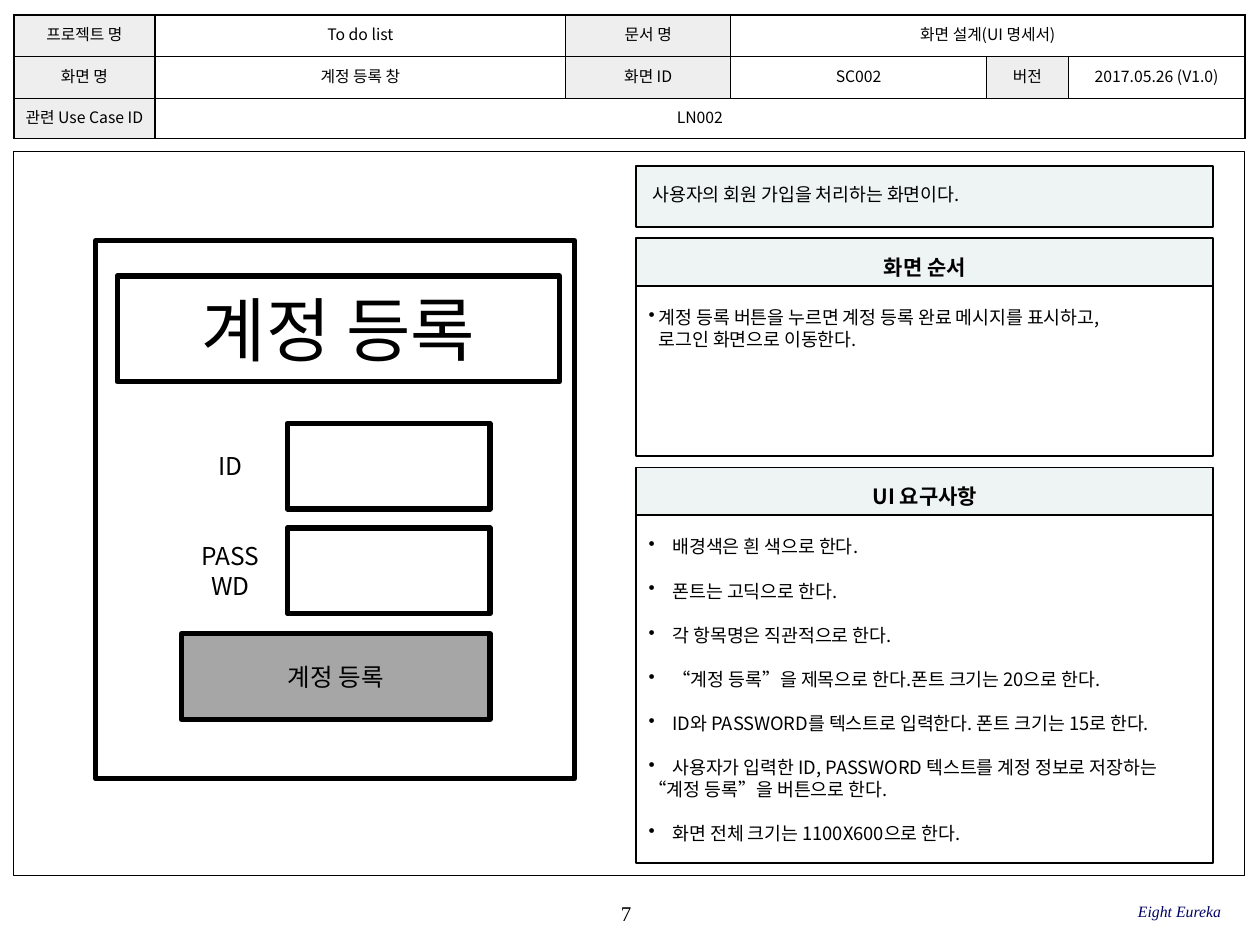
from dataclasses import dataclass

from lxml import etree
from pptx import Presentation
from pptx.dml.color import RGBColor
from pptx.enum import shapes, text
from pptx.oxml.ns import qn
from pptx.util import Emu, Pt

PX = 9144  # one px is a hundredth of an inch
LEFT, CENTER, RIGHT = text.PP_ALIGN.LEFT, text.PP_ALIGN.CENTER, text.PP_ALIGN.RIGHT
TOP, MIDDLE = text.MSO_ANCHOR.TOP, text.MSO_ANCHOR.MIDDLE


@dataclass(frozen=True)
class Theme:
    ink: str = "000000"
    paper: str = "FFFFFF"
    panel: str = "EEF4F4"
    label: str = "EEEEEE"
    button: str = "A6A6A6"
    footer: str = "000066"
    sans: str = "Noto Sans CJK KR"
    serif: str = "Times New Roman"
    small: float = 9
    body: float = 10.5
    heading: float = 12
    control: float = 14
    banner: float = 40
    leading: float = 1.2


THEME = Theme()

INFO_COLUMNS = [112, 326, 131, 203, 65, 140]
INFO_ROWS = [33, 33, 32]
# Each entry: column, columns spanned, wording, is a label
INFO = [
    [(0, 1, "프로젝트 명", True), (1, 1, "To do list", False),
     (2, 1, "문서 명", True), (3, 3, "화면 설계(UI 명세서)", False)],
    [(0, 1, "화면 명", True), (1, 1, "계정 등록 창", False), (2, 1, "화면 ID", True),
     (3, 1, "SC002", False), (4, 1, "버전", True), (5, 1, "2017.05.26 (V1.0)", False)],
    [(0, 1, "관련 Use Case ID", True), (1, 5, "LN002", False)],
]
STEPS = ["계정 등록 버튼을 누르면 계정 등록 완료 메시지를 표시하고,\v로그인 화면으로 이동한다."]
# A None mark starts a line that runs on from the item above, without a bullet
REQUIREMENTS = [
    "배경색은 흰 색으로 한다.",
    "폰트는 고딕으로 한다.",
    "각 항목명은 직관적으로 한다.",
    "“계정 등록”을 제목으로 한다.폰트 크기는 20으로 한다.",
    "ID와 PASSWORD를 텍스트로 입력한다. 폰트 크기는 15로 한다.",
    "사용자가 입력한 ID, PASSWORD 텍스트를 계정 정보로 저장하는",
    (None, "“계정 등록”을 버튼으로 한다."),
    "화면 전체 크기는 1100X600으로 한다.",
]


def px(*lengths):
    return [Emu(length * PX) for length in lengths]


def color(value):
    return RGBColor.from_string(value)


def set_frame(frame, insets, anchor):
    frame.word_wrap = True
    frame.vertical_anchor = anchor
    (frame.margin_left, frame.margin_top,
     frame.margin_right, frame.margin_bottom) = px(*insets)


def style_paragraph(para, size, align=CENTER, bold=False, italic=False,
                    font=THEME.sans, ink=THEME.ink):
    para.alignment = align
    para.line_spacing = Pt(round(size * THEME.leading, 1))
    for span in para.runs:
        span.font.size, span.font.bold, span.font.italic = Pt(size), bold, italic
        span.font.name, span.font.color.rgb = font, color(ink)
        east_asian = etree.SubElement(span._r.get_or_add_rPr(), qn("a:ea"))
        east_asian.set("typeface", font)


def add_bullet(para, indent):
    props = para._p.get_or_add_pPr()
    props.set("marL", str(indent * PX))
    props.set("indent", str(-indent * PX))
    etree.SubElement(props, qn("a:buChar")).set("char", "•")


def add_box(parent, at, fill=None, weight=1):
    box = parent.add_shape(shapes.MSO_SHAPE.RECTANGLE, *px(*at))
    box.shadow.inherit = False
    if fill:
        box.fill.solid()
        box.fill.fore_color.rgb = color(fill)
    else:
        box.fill.background()
    box.line.color.rgb = color(THEME.ink)
    box.line.width = Pt(weight)
    return box


def write(box, wording, size, insets=(10, 5, 10, 5), anchor=MIDDLE, **style):
    set_frame(box.text_frame, insets, anchor)
    box.text_frame.text = wording
    style_paragraph(box.text_frame.paragraphs[0], size, **style)


def add_label(parent, at, wording, size, **style):
    write(parent.add_textbox(*px(*at)), wording, size, **style)


def write_bullets(box, items, indent):
    frame = box.text_frame
    set_frame(frame, (10, 16, 8, 5), TOP)
    for index, item in enumerate(items):
        para = frame.paragraphs[0] if index == 0 else frame.add_paragraph()
        runs_on = isinstance(item, tuple)
        para.text = item[1] if runs_on else item
        if not runs_on:
            add_bullet(para, indent)
            if index:
                para.space_before = Pt(THEME.body * THEME.leading)
        style_paragraph(para, THEME.body, align=LEFT)


def add_panel(page, top, height, heading, items, indent):
    panel = page.shapes.add_group_shape().shapes
    header = add_box(panel, (505, top, 458, 38), THEME.panel)
    write(header, heading, THEME.heading, (10, 13, 10, 5), TOP, bold=True)
    write_bullets(add_box(panel, (505, top + 38, 458, height), THEME.paper), items, indent)


def add_cell_borders(cell):
    props = cell._tc.get_or_add_tcPr()
    for position, side in enumerate(("lnL", "lnR", "lnT", "lnB")):
        line = etree.Element(qn("a:" + side), w=str(Pt(1)))
        fill = etree.SubElement(line, qn("a:solidFill"))
        etree.SubElement(fill, qn("a:srgbClr")).set("val", THEME.ink)
        props.insert(position, line)


def add_info_table(page):
    frame = page.shapes.add_table(
        len(INFO_ROWS), len(INFO_COLUMNS),
        *px(11, 12, sum(INFO_COLUMNS), sum(INFO_ROWS)))
    table = frame.table
    table.first_row = table.horz_banding = False
    for column, width in zip(table.columns, px(*INFO_COLUMNS)):
        column.width = width
    for row, height in zip(table.rows, px(*INFO_ROWS)):
        row.height = height
    for cell in table.iter_cells():
        cell.fill.background()
        add_cell_borders(cell)
    for row, entries in enumerate(INFO):
        for column, width, wording, is_label in entries:
            cell = table.cell(row, column)
            if width > 1:
                cell.merge(table.cell(row, column + width - 1))
            if is_label:
                cell.fill.solid()
                cell.fill.fore_color.rgb = color(THEME.label)
            cell.vertical_anchor = MIDDLE
            (cell.margin_left, cell.margin_top,
             cell.margin_right, cell.margin_bottom) = px(4, 2, 4, 2)
            cell.text_frame.text = wording
            style_paragraph(cell.text_frame.paragraphs[0], THEME.small)


def add_mockup(page):
    form = page.shapes.add_group_shape().shapes
    add_box(form, (76, 191, 380, 427), weight=3)
    banner = add_box(form, (93, 219, 351, 84), THEME.paper, 3)
    write(banner, "계정 등록", THEME.banner)
    # Input rows
    for top, name in ((336, "ID"), (419, "PASSWD")):
        add_box(form, (228, top, 161, 68), weight=3)
        add_label(form, (144, top, 78, 68), name, THEME.control)
    button = add_box(form, (144, 503, 245, 68), THEME.button, 3)
    write(button, "계정 등록", THEME.control)


def main():
    deck = Presentation()
    deck.slide_width, deck.slide_height = px(1000, 750)
    page = deck.slides.add_slide(deck.slide_layouts[6])

    # Page frame and footer
    add_box(page.shapes, (11, 120, 977, 575), weight=0.75)
    footer = dict(insets=(0, 0, 0, 0), font=THEME.serif)
    add_label(page.shapes, (393, 708, 208, 33), "7", THEME.heading, **footer)
    add_label(page.shapes, (663, 707, 306, 33), "Eight Eureka", THEME.small,
              align=RIGHT, italic=True, ink=THEME.footer, **footer)

    # Description and panels
    summary = add_box(page.shapes, (505, 132, 458, 48), THEME.panel)
    write(summary, "사용자의 회원 가입을 처리하는 화면이다.", THEME.body,
          (13, 13, 10, 5), TOP, align=LEFT)
    add_panel(page, 189, 135, "화면 순서", STEPS, 8)
    add_panel(page, 371, 276, "UI 요구사항", REQUIREMENTS, 19)

    # Document details and screen layout
    add_info_table(page)
    add_mockup(page)
    deck.save("out.pptx")


if __name__ == "__main__":
    main()
